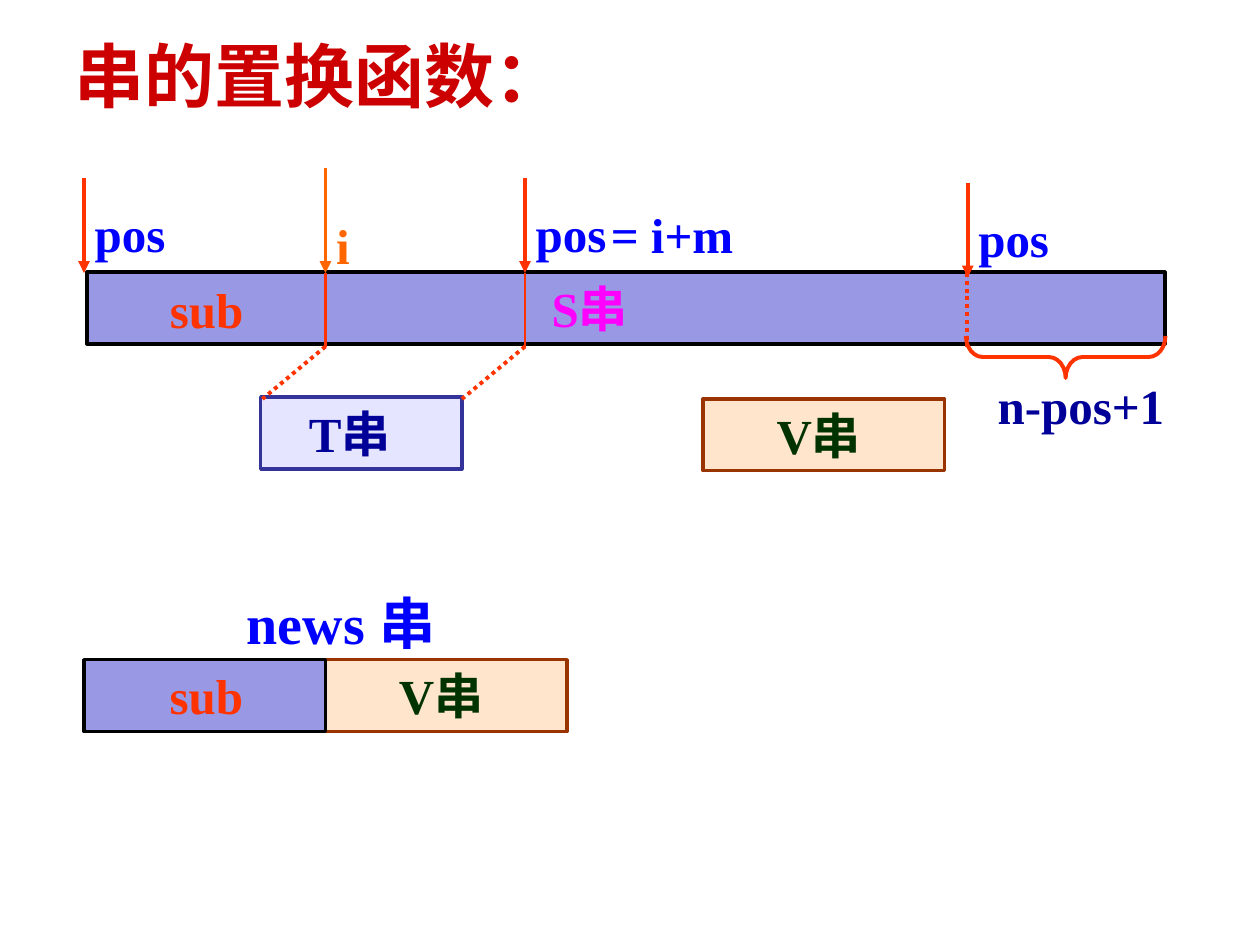
import pptx
import pptx.util
import pptx.dml.color
import pptx.enum.dml
import pptx.enum.shapes
import pptx.enum.text
import lxml.etree

Pt = pptx.util.Pt
KIND = pptx.enum.shapes.MSO_SHAPE
RED, BLUE = "FF3300", "0000FF"
BAR_TOP, BAR_END, ROW = 156, 198, 41
CUT, NEXT, LAST = 186, 300, 552.5


def tint(hue):
    """Turn a hex string into a colour."""
    return pptx.dml.color.RGBColor.from_string(hue)


def tag(parent, name, **attrs):
    """Append a drawing element with attributes."""
    space = "http://schemas.openxmlformats.org/drawingml/2006/main"
    return lxml.etree.SubElement(parent, "{%s}%s" % (space, name), **attrs)


def write(frame, text, hue, size):
    """Put one bold line of text in a frame."""
    frame.text = text
    frame.vertical_anchor = pptx.enum.text.MSO_ANCHOR.TOP
    line = frame.paragraphs[0]
    line.alignment = pptx.enum.text.PP_ALIGN.LEFT
    font = line.font
    font.name, font.size, font.bold = "Times New Roman", Pt(size), True
    font.color.rgb = tint(hue)


def label(slide, text, left, top, width, hue=BLUE, size=28):
    """Add a free line of text with no right margin."""
    box = slide.shapes.add_textbox(Pt(left), Pt(top), Pt(width), Pt(size * 1.46))
    box.text_frame.word_wrap = False
    box.text_frame.margin_right = 0
    write(box.text_frame, text, hue, size)


def block(slide, left, top, width, fill, edge, text, hue, inset):
    """Add a half-clear box whose text starts at an inset."""
    box = slide.shapes.add_shape(KIND.RECTANGLE, Pt(left), Pt(top), Pt(width), Pt(ROW))
    box.shadow.inherit = False
    box.fill.solid()
    box.fill.fore_color.rgb = tint(fill)
    shade = box.fill._xPr.solidFill[0]
    tag(shade, "alpha", val="50000")
    box.line.color.rgb = tint(edge)
    box.line.width = Pt(2)
    write(box.text_frame, text, hue, 28)
    box.text_frame.margin_left = Pt(inset)


def stroke(slide, start, end, hue=RED, width=2.25, dots=False, head=False):
    """Add a straight line, dotted or with an arrowhead."""
    ends = [Pt(value) for value in (*start, *end)]
    line = slide.shapes.add_connector(pptx.enum.shapes.MSO_CONNECTOR.STRAIGHT, *ends)
    line.line.color.rgb = tint(hue)
    line.line.width = Pt(width)
    if dots:
        line.line.dash_style = pptx.enum.dml.MSO_LINE.ROUND_DOT
    if head:
        tag(line.line._get_or_add_ln(), "tailEnd", type="triangle")
    tag(line._element.spPr, "effectLst")


def brace(slide, left, top, width, height):
    """Add a brace that opens upward."""
    shift = (width - height) / 2
    mark = slide.shapes.add_shape(
        KIND.LEFT_BRACE, Pt(left + shift), Pt(top - shift), Pt(height), Pt(width))
    mark.rotation = 270
    mark.adjustments[0] = 0.4
    mark.shadow.inherit = False
    mark.fill.background()
    mark.line.color.rgb = tint(RED)
    mark.line.width = Pt(2.25)


def main():
    """Build the slide and save it."""
    deck = pptx.Presentation()
    deck.slide_width, deck.slide_height = Pt(720), Pt(540)
    slide = deck.slides.add_slide(deck.slide_layouts[6])
    label(slide, "串的置换函数：", 35.5, 15, 294, "CC0000", 40)

    block(slide, 49.7, 155.5, 616, "3333CC", "000000", "S串", "FF00FF", 265.5)
    block(slide, 149, 227, 115, "CCCCFF", "333399", "T串", "000099", 27.5)
    for left, top in ((401.8, 228), (CUT, 377)):
        block(slide, left, top, 138, "FFCC99", "993300", "V串", "003300", 42)
    block(slide, 48, 377, 138, "3333CC", "000000", "sub", RED, 49)
    label(slide, "sub", 90, BAR_TOP, 58, RED)

    for spot in (CUT, NEXT):
        stroke(slide, (spot, BAR_TOP), (spot, BAR_END), width=1.5)
        stroke(slide, (spot, BAR_END), (spot - 36, 228), dots=True)
    stroke(slide, (LAST, BAR_TOP), (LAST, BAR_END), dots=True)

    for spot, top in ((48, 102), (NEXT, 102), (LAST + 0.5, 104.5)):
        stroke(slide, (spot, top), (spot, top + 54), head=True)
        label(slide, "pos", spot - 1, top + 11, 55)
    stroke(slide, (CUT, 96), (CUT, BAR_TOP), "FF6600", head=True)
    label(slide, "i", 185, 119.5, 22, "FF6600")
    label(slide, "= i+m", 342, 113.5, 86)

    brace(slide, 552, 192, 114, 24)
    label(slide, "n-pos+1", 563, 211, 111, "000099")
    label(slide, "news 串", 134, 332.5, 130, size=32)
    deck.save("out.pptx")


if __name__ == "__main__":
    main()
